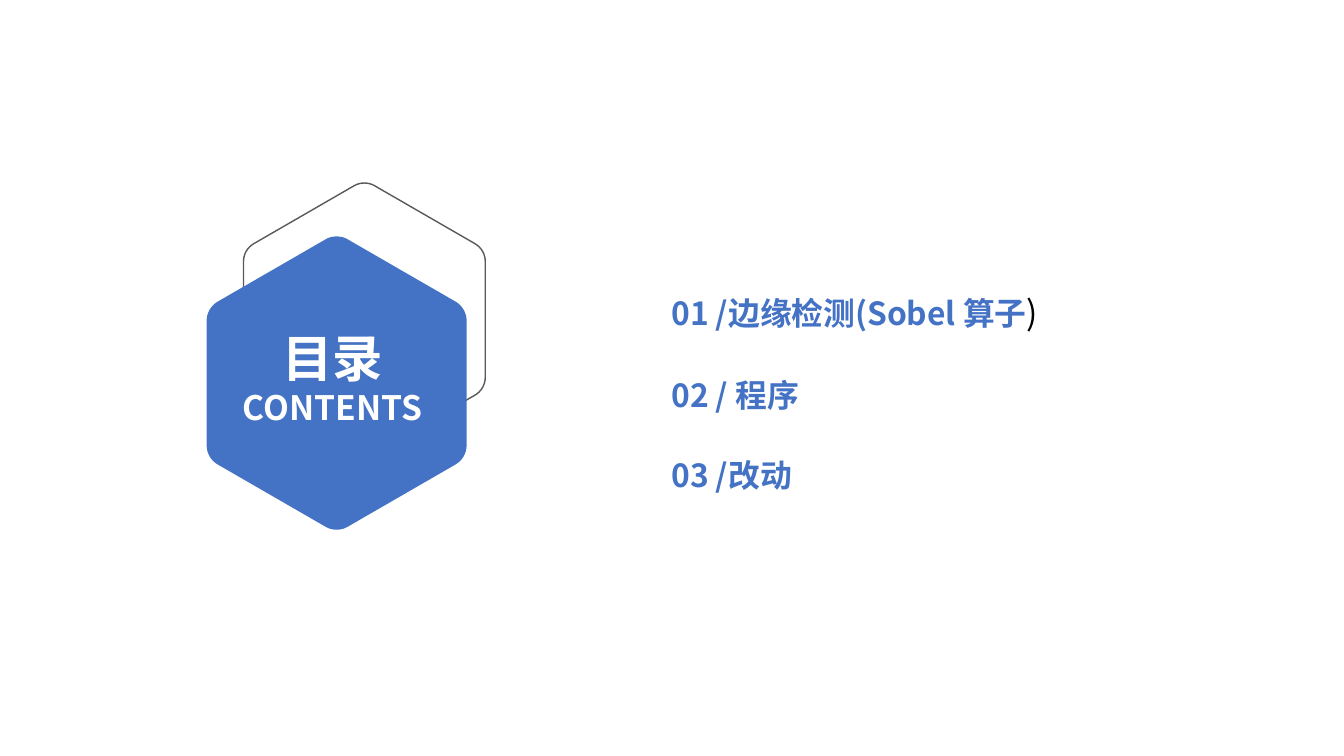
"""Build a contents slide with two rounded hexagons and a three-item agenda."""
import math
from dataclasses import dataclass

from lxml import etree
from pptx import Presentation
from pptx.dml.color import RGBColor
from pptx.enum.text import MSO_ANCHOR, MSO_AUTO_SIZE, PP_ALIGN
from pptx.oxml.ns import qn
from pptx.util import Pt

CENTER, LEFT = PP_ALIGN.CENTER, PP_ALIGN.LEFT
TOP, NO_FIT = MSO_ANCHOR.TOP, MSO_AUTO_SIZE.NONE
FONT = "Noto Sans CJK SC"
COLORS = {"blue": "4472C4", "grey": "595959", "white": "FFFFFF", "black": "000000"}
ROUNDING, PULL, STEPS = 0.083, 0.6, 8


@dataclass
class Hexagon:
    cx: float
    cy: float
    radius: float
    fill: str | None = None
    line: str | None = None


HEXAGONS = [
    Hexagon(260.3, 228.2, 99.7, line="grey"),
    Hexagon(240.5, 273.6, 107.2, fill="blue"),
]
AGENDA = ["01 /边缘检测(Sobel 算子", "02 / 程序", "03 /改动"]


def color(name: str) -> RGBColor:
    """Return the named palette colour."""
    return RGBColor.from_string(COLORS[name])


def toward(a: tuple, b: tuple, share: float) -> tuple:
    """Return the point a given share of the way from a to b."""
    return tuple(p + (q - p) * share for p, q in zip(a, b))


def outline(h: Hexagon) -> list:
    """Return the points of a pointy-top hexagon with rounded corners."""
    angles = [math.radians(60 * i - 90) for i in range(6)]
    corners = [(h.cx + h.radius * math.cos(a), h.cy + h.radius * math.sin(a)) for a in angles]
    points = []
    for i, corner in enumerate(corners):
        start = toward(corner, corners[i - 1], ROUNDING)
        end = toward(corner, corners[(i + 1) % 6], ROUNDING)
        c1, c2 = toward(start, corner, PULL), toward(end, corner, PULL)
        for step in range(STEPS + 1):
            t = step / STEPS
            weights = ((1 - t) ** 3, 3 * t * (1 - t) ** 2, 3 * t * t * (1 - t), t ** 3)
            curve = zip(*(start, c1, c2, end))
            points.append(tuple(Pt(sum(w * v for w, v in zip(weights, axis))) for axis in curve))
    return points


def draw_hexagon(slide, h: Hexagon) -> None:
    """Draw one rounded hexagon."""
    first, *rest = outline(h)
    builder = slide.shapes.build_freeform(*first)
    builder.add_line_segments(rest, close=True)
    sp = builder.convert_to_shape()
    sp.shadow.inherit = False
    if h.fill:
        sp.fill.solid()
        sp.fill.fore_color.rgb = color(h.fill)
    else:
        sp.fill.background()
    if h.line:
        sp.line.color.rgb = color(h.line)
        sp.line.width = Pt(1)
    else:
        sp.line.fill.background()


def add_run(p, text: str, *, size: float, fill: str, bold: bool = True) -> None:
    """Add formatted text to a paragraph."""
    r = p.add_run()
    r.text = text
    r.font.size, r.font.bold, r.font.name = Pt(size), bold, FONT
    r.font.color.rgb = color(fill)
    etree.SubElement(r.font._element, qn("a:ea"), typeface=FONT)


def place(sp, left: float, top: float, width: float, height: float):
    """Move a placeholder to the front, place it and return its text frame."""
    sp.left, sp.top, sp.width, sp.height = Pt(left), Pt(top), Pt(width), Pt(height)
    sp.element.getparent().append(sp.element)
    tf = sp.text_frame
    tf.word_wrap, tf.auto_size, tf.vertical_anchor = True, NO_FIT, TOP
    return tf


def add_paragraph(tf, first: bool, align, after: float = 0):
    """Return a plain paragraph without bullet or indent."""
    p = tf.paragraphs[0] if first else tf.add_paragraph()
    p.alignment, p.line_spacing = align, 1.0
    p.space_before, p.space_after = Pt(0), Pt(after)
    props = p._p.get_or_add_pPr()
    props.set("marL", "0")
    props.set("indent", "0")
    etree.SubElement(props, qn("a:buNone"))
    return p


def main() -> None:
    """Build and save the slide."""
    prs = Presentation()
    prs.slide_width, prs.slide_height = Pt(960), Pt(540)
    slide = prs.slides.add_slide(prs.slide_layouts[1])
    for h in HEXAGONS:
        draw_hexagon(slide, h)

    tf = place(slide.shapes.title, 150.5, 229.7, 174.2, 79.9)
    for i, (text, size) in enumerate([("目录", 36), ("CONTENTS", 24)]):
        add_run(add_paragraph(tf, i == 0, CENTER), text, size=size, fill="white")

    tf = place(slide.placeholders[1], 472.3, 205.2, 312.5, 163)
    for i, text in enumerate(AGENDA):
        p = add_paragraph(tf, i == 0, LEFT, after=30.5)
        add_run(p, text, size=22.7, fill="blue")
        if i == 0:
            add_run(p, ")", size=24, fill="black", bold=False)
    prs.save("out.pptx")


if __name__ == "__main__":
    main()
